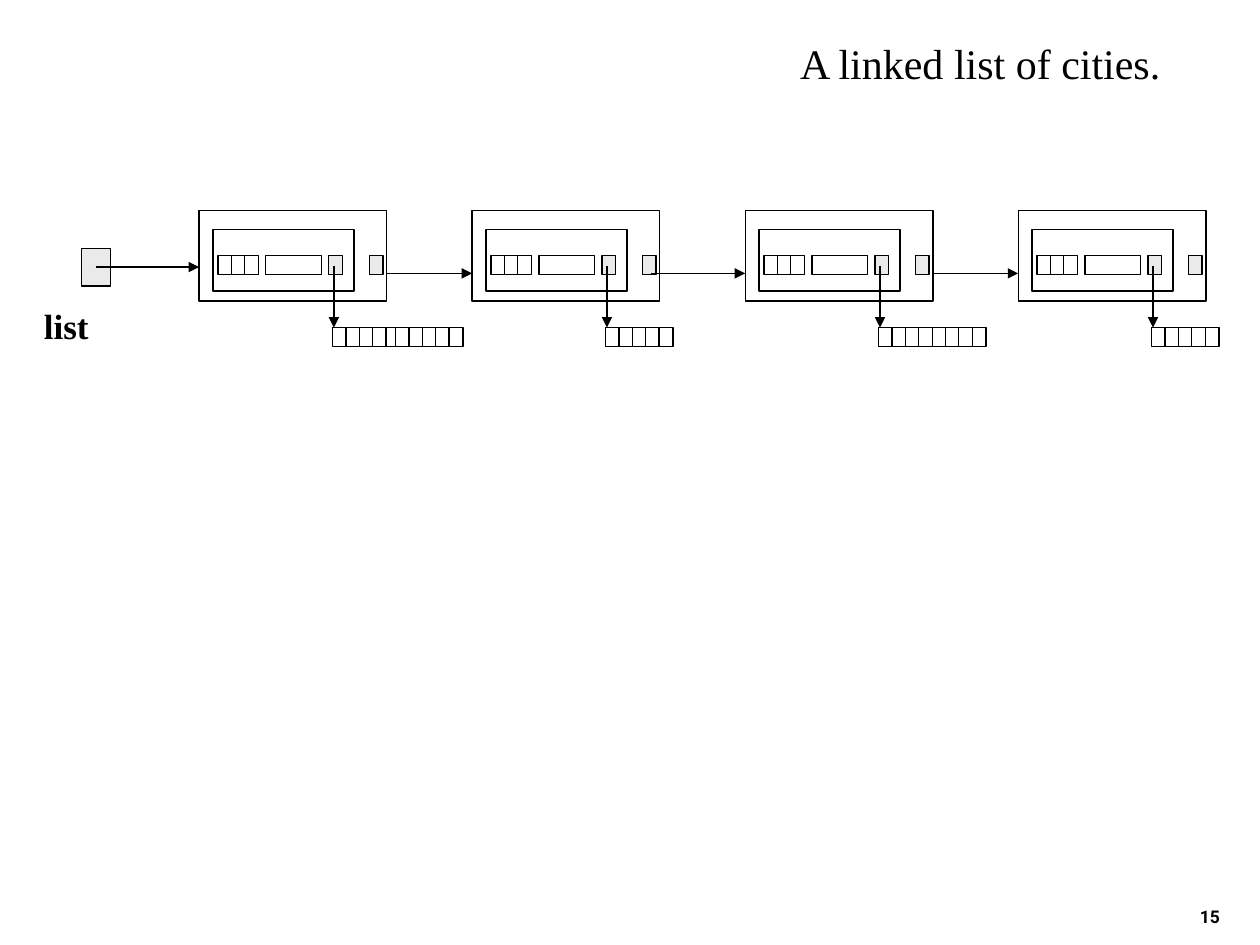
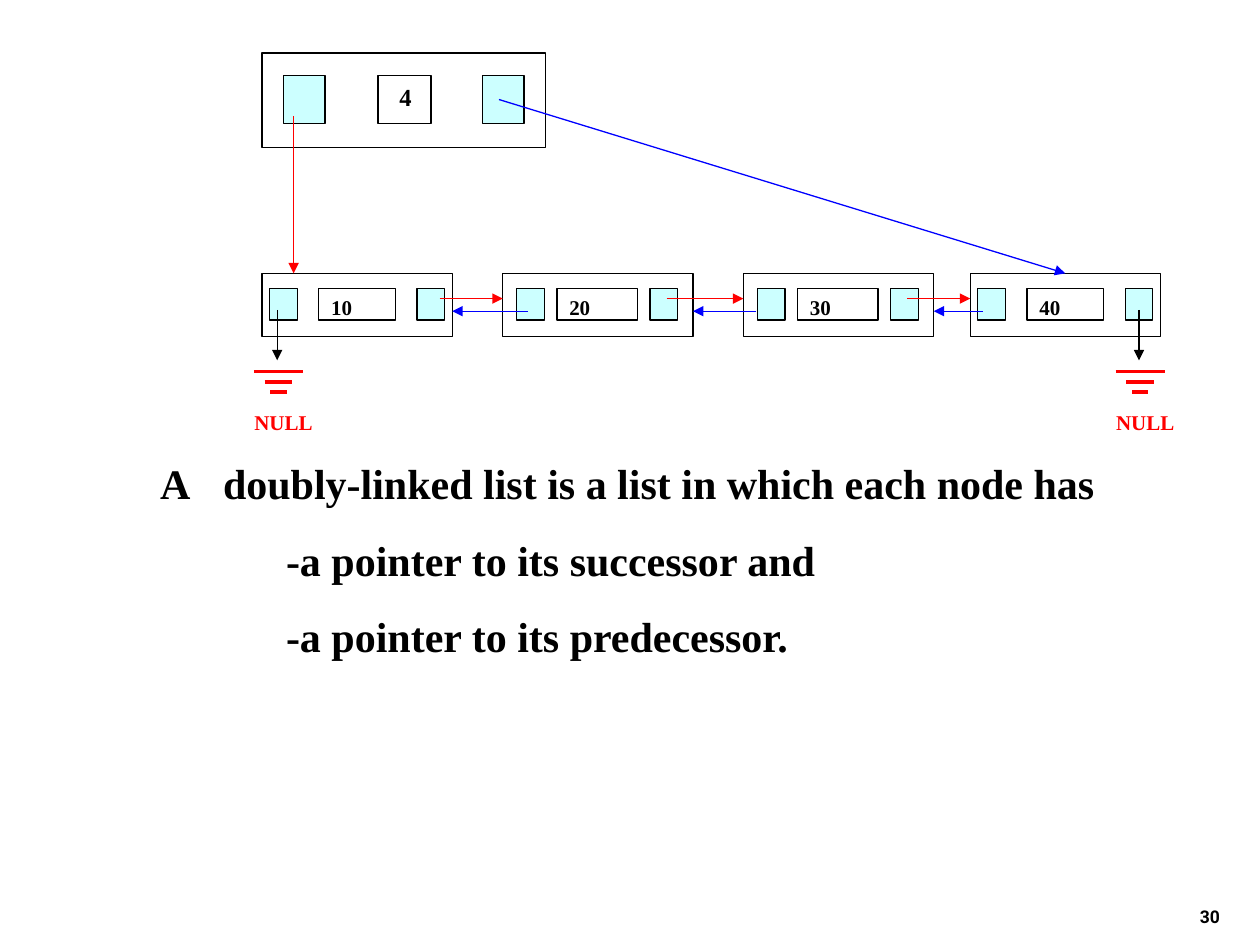
import lxml.etree
import pptx
import pptx.dml.color
import pptx.enum.shapes
import pptx.enum.text
import pptx.util
from pptx.oxml.ns import qn

Inches = pptx.util.Inches
Pt = pptx.util.Pt
ALIGN = pptx.enum.text.PP_ALIGN
ANCHOR = pptx.enum.text.MSO_ANCHOR

COLORS = {"ink": "000000", "paper": "FFFFFF", "pointer": "EAEAEA",
          "link": "CCFFFF", "next": "FF0000", "previous": "0000FF"}
SERIF, SANS = "Times New Roman", "Roboto"

CITY_TITLE = "A linked list of cities."
CITY_PAGE, DOUBLY_PAGE = "15", "30"
CITY_LEFT, CITY_STEP = 1.58, 2.167
CITY_TOP, FIELD_TOP, NAME_TOP = 1.67, 2.03, 2.6
CELL_WIDTH, CELL_STEP, CELL_HEIGHT = 0.11, 0.106, 0.15
# Each name is a list of character runs: (offset, number of cells)
CITY_NAMES = [[(0, 5), (0.5, 5)], [(0, 5)], [(0, 8)], [(0, 5)]]

NODE_TOP, NODE_WIDTH = 2.17, 1.51
# Offsets inside a node: previous link, value, value width, next link
END_FIELDS = (0.06, 0.45, 0.61, 1.23)
MIDDLE_FIELDS = (0.11, 0.43, 0.64, 1.17)
DOUBLY_NODES = [(2.08, "10", END_FIELDS), (3.99, "20", MIDDLE_FIELDS),
                (5.9, "30", MIDDLE_FIELDS), (7.7, "40", END_FIELDS)]
NEXT_STARTS = [3.49, 5.29, 7.2]
PREVIOUS_STARTS = [4.19, 6, 7.8]
NULL_CENTERS = [2.2, 9.04]
GROUND_BARS = [(2.95, 0.39), (3.03, 0.22), (3.11, 0.13)]
# Text, left margin, tab stop
DEFINITION = [("A\tdoubly-linked list is a list in which each node has", 0, 0.56),
              ("-a pointer to its successor and", 1, None),
              ("-a pointer to its predecessor.", 1, None)]


def rgb(name):
    return pptx.dml.color.RGBColor.from_string(COLORS[name])


def place(shape, left, top, width, height):
    shape.left, shape.top = Inches(left), Inches(top)
    shape.width, shape.height = Inches(width), Inches(height)


def set_frame(shape, anchor=ANCHOR.TOP, wrap=True, left_inset=0.1):
    frame = shape.text_frame
    frame.auto_size = pptx.enum.text.MSO_AUTO_SIZE.NONE
    frame.word_wrap = wrap
    frame.vertical_anchor = anchor
    frame.margin_left, frame.margin_right = Inches(left_inset), Inches(0.1)
    frame.margin_top = frame.margin_bottom = Inches(0.05)
    return frame


def write(paragraph, text, size, bold=True, font=SERIF, color="ink", align=ALIGN.LEFT):
    paragraph.alignment = align
    run = paragraph.add_run()
    run.text = text
    run.font.name, run.font.size, run.font.bold = font, Pt(size), bold
    run.font.color.rgb = rgb(color)


def add_box(slide, left, top, width, height, fill="paper", outlined=True):
    shape = slide.shapes.add_shape(pptx.enum.shapes.MSO_SHAPE.RECTANGLE, Inches(left),
                                   Inches(top), Inches(width), Inches(height))
    shape.shadow.inherit = False
    shape.fill.solid()
    shape.fill.fore_color.rgb = rgb(fill)
    if outlined:
        shape.line.color.rgb = rgb("ink")
        shape.line.width = Pt(0.75)
    else:
        shape.line.fill.background()
    return shape


def add_line(slide, start, end, color="ink", width=0.75, arrow=True):
    points = [Inches(value) for value in (*start, *end)]
    line = slide.shapes.add_connector(pptx.enum.shapes.MSO_CONNECTOR.STRAIGHT, *points)
    line.line.color.rgb = rgb(color)
    line.line.width = Pt(width)
    properties = line.element.spPr
    if arrow:
        lxml.etree.SubElement(properties.find(qn("a:ln")), qn("a:tailEnd"), type="triangle")
    lxml.etree.SubElement(properties, qn("a:effectLst"))
    return line


def add_page_number(slide, number):
    box = slide.shapes.add_textbox(0, 0, 0, 0)
    place(box, 7.7, 6.91, 2.08, 0.5)
    frame = set_frame(box, ANCHOR.BOTTOM)
    write(frame.paragraphs[0], number, 10, font=SANS, align=ALIGN.RIGHT)


def add_cells(slide, left, top, count):
    for index in range(count):
        add_box(slide, left + index * CELL_STEP, top, CELL_WIDTH, CELL_HEIGHT)


def add_city(slide, left, name):
    add_box(slide, left, CITY_TOP, 1.49, 0.72)
    add_box(slide, left + 0.11, 1.82, 1.12, 0.49)
    add_cells(slide, left + 0.15, FIELD_TOP, 3)
    add_box(slide, left + 0.53, FIELD_TOP, 0.44, CELL_HEIGHT)
    for offset in (1.03, 1.35):
        add_box(slide, left + offset, FIELD_TOP, CELL_WIDTH, CELL_HEIGHT, "pointer")
    add_line(slide, (left + 1.07, 2.11), (left + 1.07, NAME_TOP))
    for offset, count in name:
        add_cells(slide, left + 1.06 + offset, NAME_TOP, count)


def build_city_slide(presentation):
    slide = presentation.slides.add_slide(presentation.slide_layouts[5])
    title = slide.shapes.title
    place(title, 6.25, 0.25, 3.08, 0.5)
    write(set_frame(title, wrap=False).paragraphs[0], CITY_TITLE, 24, bold=False)
    add_page_number(slide, CITY_PAGE)

    label = add_box(slide, 0.25, 2.37, 0.93, 0.8, outlined=False)
    write(set_frame(label).paragraphs[0], "list", 20)
    add_box(slide, 0.65, 1.97, 0.23, 0.3, "pointer")
    add_line(slide, (0.76, 2.12), (CITY_LEFT, 2.12))

    lefts = [CITY_LEFT + index * CITY_STEP for index in range(len(CITY_NAMES))]
    cities = list(zip(lefts, CITY_NAMES))
    for left, name in cities[1::2]:
        add_city(slide, left, name)
    for left in lefts[1:]:
        add_line(slide, (left - 0.75, 2.17), (left, 2.17))
    for left, name in cities[::2]:
        add_city(slide, left, name)


def add_header(slide):
    add_box(slide, 2.08, 0.42, 2.25, 0.75)
    count = add_box(slide, 3, 0.6, 0.42, 0.38)
    write(set_frame(count, left_inset=0.17).paragraphs[0], "4", 14)
    for left in (2.25, 3.83):
        add_box(slide, left, 0.6, 0.33, 0.38, "link")


def add_node(slide, left, value, fields):
    previous_link, value_left, value_width, next_link = fields
    node = add_box(slide, left, NODE_TOP, NODE_WIDTH, 0.5)
    box = add_box(slide, left + value_left, 2.29, value_width, 0.25)
    write(set_frame(box).paragraphs[0], value, 12)
    for offset in (previous_link, next_link):
        add_box(slide, left + offset, 2.29, 0.22, 0.25, "link")
    return node


def add_null(slide, center):
    """Draw the ground symbol that ends a chain of links."""
    for top, width in GROUND_BARS:
        add_line(slide, (center + 0.01 - width / 2, top),
                 (center + 0.01 + width / 2, top), "next", 2, arrow=False)
    label = slide.shapes.add_textbox(0, 0, 0, 0)
    place(label, center - 0.28, 3.2, 0.66, 0.3)
    write(set_frame(label, wrap=False).paragraphs[0], "NULL", 12, color="next")
    add_line(slide, (center, 2.46), (center, 2.86))


def write_definition(body):
    frame = set_frame(body)
    for index, (text, margin, tab) in enumerate(DEFINITION):
        paragraph = frame.add_paragraph() if index else frame.paragraphs[0]
        properties = paragraph._p.get_or_add_pPr()
        properties.set("marL", str(Inches(margin)))
        properties.set("indent", "0")
        lxml.etree.SubElement(properties, qn("a:buNone"))
        if tab:
            tabs = lxml.etree.SubElement(properties, qn("a:tabLst"))
            lxml.etree.SubElement(tabs, qn("a:tab"), pos=str(Inches(tab)), algn="l")
        paragraph.space_before = Pt(15 if index else 0)
        write(paragraph, text, 24)


def build_doubly_slide(presentation):
    slide = presentation.slides.add_slide(presentation.slide_layouts[1])
    title = slide.shapes.title.element
    title.getparent().remove(title)
    body = slide.placeholders[1]
    place(body, 1.17, 3.58, 8, 1.72)
    write_definition(body)
    add_page_number(slide, DOUBLY_PAGE)

    add_header(slide)
    nodes = [add_node(slide, *node) for node in DOUBLY_NODES]
    add_line(slide, (2.33, 0.92), (2.33, NODE_TOP), "next")
    last_link = add_line(slide, (3.96, 0.79), (8.46, NODE_TOP), "previous")
    last_link.end_connect(nodes[-1], 0)

    lefts = [node[0] for node in DOUBLY_NODES]
    for start, target in zip(NEXT_STARTS, lefts[1:]):
        add_line(slide, (start, 2.37), (target, 2.37), "next")
    for start, target in zip(PREVIOUS_STARTS, lefts):
        add_line(slide, (start, 2.47), (target + NODE_WIDTH, 2.47), "previous")
    for center in NULL_CENTERS:
        add_null(slide, center)


def main():
    presentation = pptx.Presentation()
    presentation.slide_width, presentation.slide_height = Inches(10), Inches(7.5)
    build_city_slide(presentation)
    build_doubly_slide(presentation)
    presentation.save("out.pptx")


if __name__ == "__main__":
    main()
